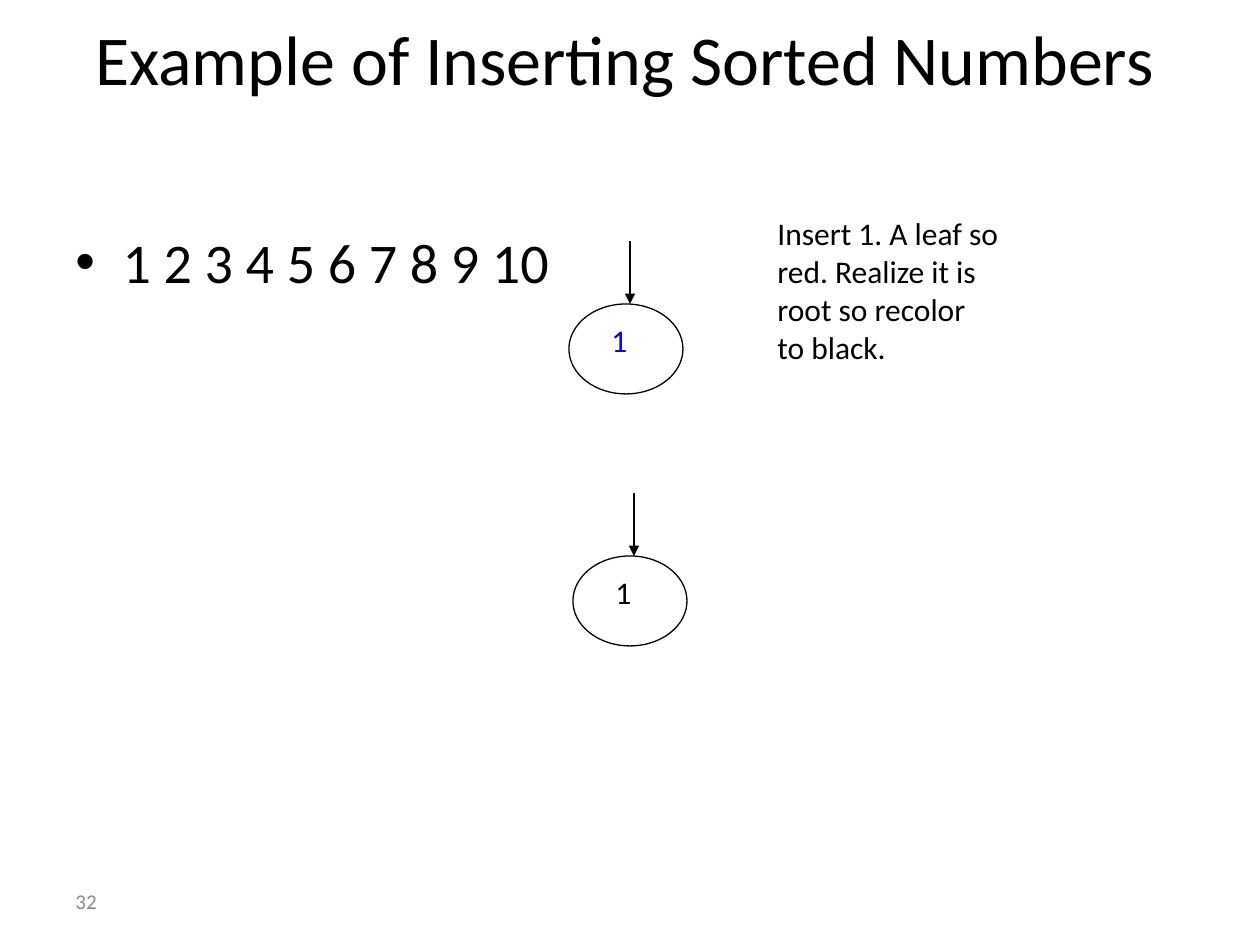
"""Build the slide on inserting sorted numbers into a red-black tree."""
from pptx import Presentation
from pptx.dml.color import RGBColor
from pptx.enum.shapes import MSO_CONNECTOR, MSO_SHAPE
from pptx.enum.text import MSO_ANCHOR, PP_ALIGN
from pptx.oxml.ns import qn
from pptx.util import Pt
from lxml.etree import SubElement

PX = 914400 / 126
BLACK = RGBColor(0, 0, 0)
BLUE = RGBColor(0, 0, 255)
GRAY = RGBColor(0x8C, 0x8C, 0x8C)
FONT = "Calibri"

TITLE = "Example of Inserting Sorted Numbers"
NUMBERS = "1 2 3 4 5 6 7 8 9 10"
NOTE = ["Insert 1. A leaf so", "red. Realize it is", "root so recolor", "to black."]
PAGE = "32"
NODES = [("1", BLUE, 569, 304), ("1", BLACK, 573, 556)]


def emu(*sizes):
    return [round(size * PX) for size in sizes]


def style(frame, size, color):
    for par in frame.paragraphs:
        for run in par.runs:
            run.font.name = FONT
            run.font.size = Pt(size)
            run.font.color.rgb = color


def add_text(shapes, text, box, size, color):
    frame = shapes.add_textbox(*emu(*box)).text_frame
    frame.word_wrap = True
    frame.text = text
    style(frame, size, color)
    return frame


def add_node(slide, label, color, left, top):
    group = slide.shapes.add_group_shape()
    oval = group.shapes.add_shape(MSO_SHAPE.OVAL, *emu(left, top, 114, 90))
    oval.shadow.inherit = False
    oval.fill.background()
    oval.line.color.rgb = BLACK
    oval.line.width = Pt(0.75)
    add_text(group.shapes, label, (left + 30, top + 11, 53, 72), 18, color)
    add_arrow(slide, left + 61, top - 63, top)


def add_arrow(slide, x, start, end):
    arrow = slide.shapes.add_connector(MSO_CONNECTOR.STRAIGHT, *emu(x, start, x, end))
    arrow.line.color.rgb = BLACK
    arrow.line.width = Pt(0.75)
    SubElement(arrow.line._get_or_add_ln(), qn("a:tailEnd"), type="triangle")
    SubElement(arrow._element.spPr, qn("a:effectLst"))


def add_bullet(par):
    props = par._p.get_or_add_pPr()
    props.set("marL", "342900")
    props.set("indent", "-342900")
    SubElement(props, qn("a:buFont"), typeface="Arial")
    SubElement(props, qn("a:buChar"), char="•")


def main():
    deck = Presentation()
    deck.slide_width, deck.slide_height = emu(1260, 945)
    slide = deck.slides.add_slide(deck.slide_layouts[5])

    title = slide.shapes.title
    title.left, title.top, title.width, title.height = emu(21, -21, 1207, 157)
    title.text_frame.text = TITLE
    title.text_frame.vertical_anchor = MSO_ANCHOR.MIDDLE
    title.text_frame.paragraphs[0].alignment = PP_ALIGN.CENTER
    style(title.text_frame, 40, BLACK)

    page = add_text(slide.shapes, PAGE, (63, 876, 294, 50), 12, GRAY)
    page.vertical_anchor = MSO_ANCHOR.MIDDLE
    body = add_text(slide.shapes, NUMBERS, (63, 221, 1134, 624), 32, BLACK)
    add_bullet(body.paragraphs[0])
    add_text(slide.shapes, "\n".join(NOTE), (765, 208, 421, 284), 18, BLACK)

    for node in NODES:
        add_node(slide, *node)
    deck.save("out.pptx")


if __name__ == "__main__":
    main()
